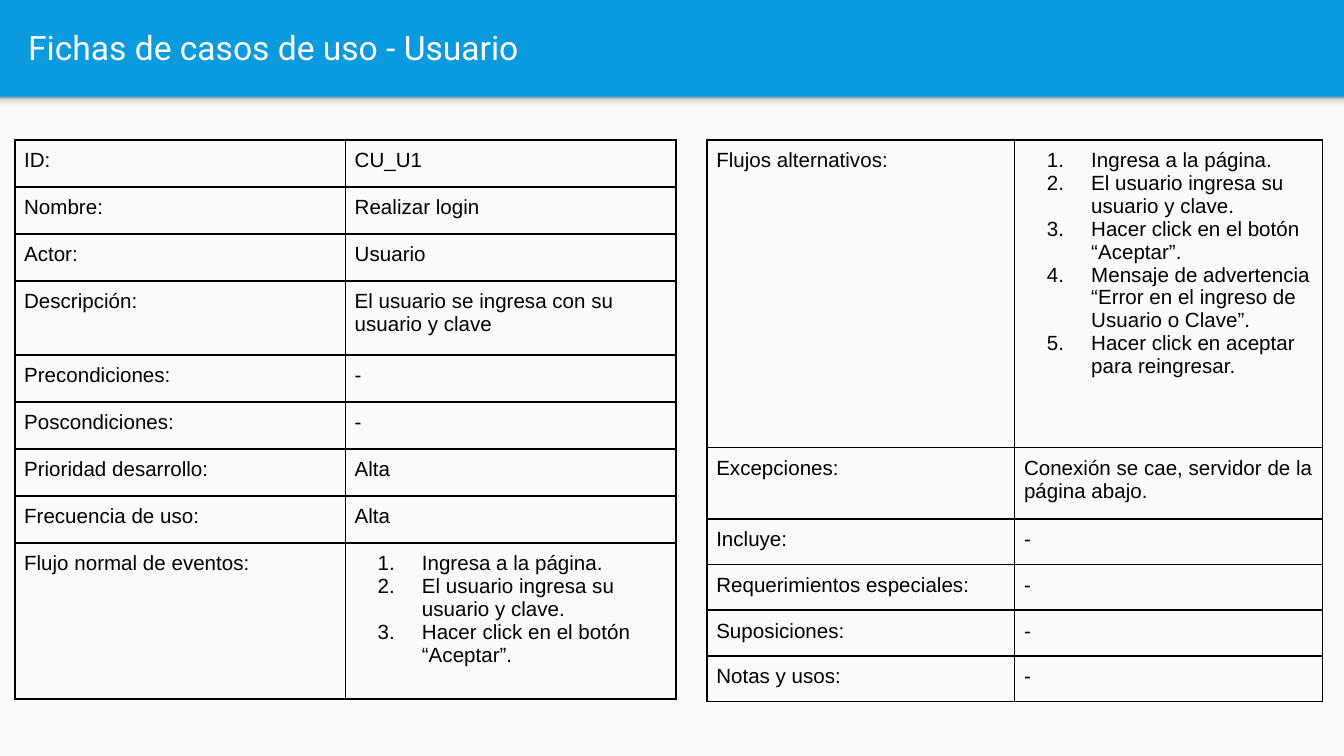
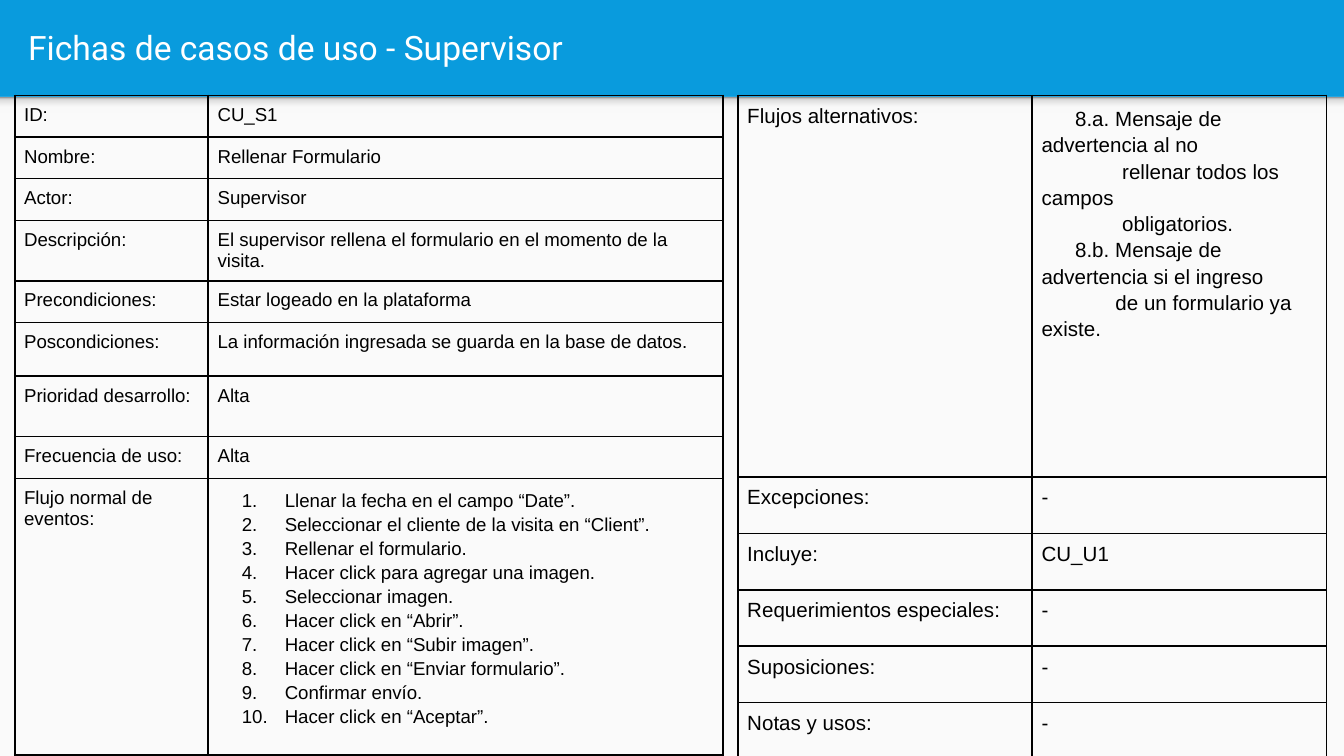
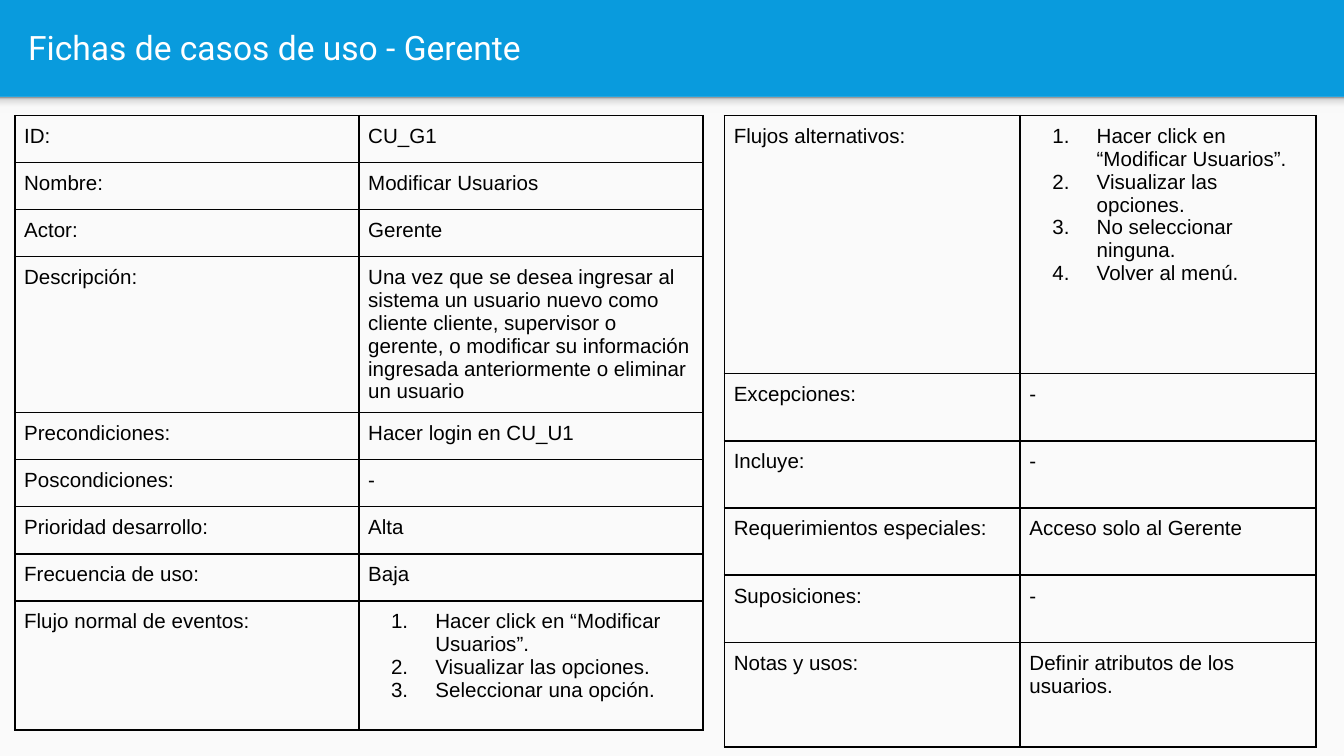
from dataclasses import dataclass

from lxml.etree import SubElement
from pptx import Presentation
from pptx.dml.color import RGBColor
from pptx.enum.shapes import MSO_SHAPE as Preset
from pptx.enum.text import MSO_ANCHOR as Anchor, MSO_AUTO_SIZE as AutoSize, PP_ALIGN as Align
from pptx.oxml.ns import qn
from pptx.util import Inches, Pt


@dataclass(frozen=True)
class Theme:
    """Colours, fonts, type sizes and measures shared by all slides."""

    band: str = "099BDD"
    panel: str = "FAFAFA"
    title: str = "FFFFFF"
    ink: str = "000000"
    shadow: tuple = ((0, "F9F9F9"), (36, "F9F9F9"), (80, "DEDEDE"), (100, "999999"))
    title_font: str = "Roboto"
    body_font: str = "Arial"
    title_size: float = 18
    body_size: float = 11
    small_size: float = 10
    border: float = 1
    width: float = 10
    height: float = 10 * 9 / 16
    band_height: float = 0.72
    shadow_height: float = 0.12
    margin: float = 0.11
    cell_inset: float = 0.07
    title_inset: float = 0.1


THEME = Theme()


@dataclass(frozen=True)
class Line:
    """A cell paragraph with its indents in inches."""

    text: str
    left: float = 0
    first: float = 0
    spacing: float = None
    numbered: bool = False


@dataclass(frozen=True)
class Card:
    """The values, position and grid of one use case table."""

    labels: tuple
    values: tuple
    left: float
    top: float
    columns: tuple
    rows: tuple
    size: float = THEME.body_size


MAIN_LABELS = (
    "ID:", "Nombre:", "Actor:", "Descripción:", "Precondiciones:", "Poscondiciones:",
    "Prioridad desarrollo:", "Frecuencia de uso:", "Flujo normal de eventos:",
)
EXTRA_LABELS = (
    "Flujos alternativos:", "Excepciones:", "Incluye:", "Requerimientos especiales:",
    "Suposiciones:", "Notas y usos:",
)


def steps(*texts, hanging=0.33, spacing=None):
    """Return the texts as numbered lines."""
    return [Line(text, 0.5, -hanging, spacing, True) for text in texts]


def clauses(*pairs):
    """Return lines from pairs of first-line indent and text."""
    return [Line(text, first=first, spacing=1.15) for first, text in pairs]


LOGIN_STEPS = (
    "Ingresa a la página.",
    "El usuario ingresa su usuario y clave.",
    "Hacer click en el botón “Aceptar”.",
)

SLIDES = (
    ("Usuario", (
        Card(
            MAIN_LABELS,
            ("CU_U1", "Realizar login", "Usuario",
             "El usuario se ingresa con su usuario y clave", "-", "-", "Alta", "Alta",
             steps(*LOGIN_STEPS)),
            THEME.margin, 1.04, (2.46, 2.46),
            (0.35, 0.35, 0.35, 0.55, 0.35, 0.35, 0.35, 0.35, 1.16),
        ),
        Card(
            EXTRA_LABELS,
            (steps(*LOGIN_STEPS,
                   "Mensaje de advertencia “Error en el ingreso de Usuario o Clave”.",
                   "Hacer click en aceptar para reingresar."),
             "Conexión se cae, servidor de la página abajo.", "-", "-", "-", "-"),
            5.26, 1.04, (2.29, 2.29), (2.29, 0.53, 0.34, 0.34, 0.34, 0.34),
        ),
    )),
    ("Supervisor", (
        Card(
            MAIN_LABELS,
            ("CU_S1", "Rellenar Formulario", "Supervisor",
             "El supervisor rellena el formulario en el momento de la visita.",
             "Estar logeado en la plataforma",
             "La información ingresada se guarda en la base de datos.", "Alta", "Alta",
             steps("Llenar la fecha en el campo “Date”.",
                   "Seleccionar el cliente de la visita en “Client”.",
                   "Rellenar el formulario.",
                   "Hacer click para agregar una imagen.",
                   "Seleccionar imagen.",
                   "Hacer click en “Abrir”.",
                   "Hacer click en “Subir imagen”.",
                   "Hacer click en “Enviar formulario”.",
                   "Confirmar envío.",
                   "Hacer click en “Aceptar”.",
                   hanging=0.32, spacing=1.15)),
            THEME.margin, 0.71, (1.44, 3.83),
            (0.31, 0.31, 0.31, 0.45, 0.31, 0.4, 0.45, 0.31, 2.06), THEME.small_size,
        ),
        Card(
            EXTRA_LABELS,
            (clauses((0.25, "8.a. Mensaje de advertencia al no"),
                     (0.6, "rellenar todos los campos"),
                     (0.6, "obligatorios."),
                     (0.25, "8.b. Mensaje de advertencia si el ingreso"),
                     (0.55, "de un formulario ya existe.")),
             "-", "CU_U1", "-", "-", "-"),
            5.49, 0.71, (2.19, 2.19), (2.84, 0.42, 0.42, 0.42, 0.42, 0.42),
        ),
    )),
    ("Gerente", (
        Card(
            MAIN_LABELS,
            ("CU_G1", "Modificar Usuarios", "Gerente",
             "Una vez que se desea ingresar al sistema un usuario nuevo como cliente cliente, "
             "supervisor o gerente, o modificar su información ingresada anteriormente o "
             "eliminar un usuario",
             "Hacer login en CU_U1", "-", "Alta", "Baja",
             steps("Hacer click en “Modificar Usuarios”.", "Visualizar las opciones.",
                   "Seleccionar una opción.")),
            THEME.margin, 0.86, (2.56, 2.56),
            (0.35, 0.35, 0.35, 1.16, 0.35, 0.35, 0.35, 0.35, 0.96),
        ),
        Card(
            EXTRA_LABELS,
            (steps("Hacer click en “Modificar Usuarios”.", "Visualizar las opciones.",
                   "No seleccionar ninguna.", "Volver al menú."),
             "-", "-", "Acceso solo al Gerente", "-", "Definir atributos de los usuarios."),
            5.39, 0.86, (2.2, 2.2), (1.92, 0.5, 0.5, 0.5, 0.5, 0.78),
        ),
    )),
)


def write_text(paragraph, text, *, size, font=THEME.body_font, color=THEME.ink,
               spacing=None, left=0, first=0, numbered=False):
    """Write one formatted run with its paragraph spacing, indents and numbering."""
    paragraph.alignment = Align.LEFT
    if spacing:
        paragraph.line_spacing = spacing
    properties = paragraph._p.get_or_add_pPr()
    properties.set("marL", str(Inches(left)))
    properties.set("indent", str(Inches(first)))
    if numbered:
        SubElement(properties, qn("a:buAutoNum"), type="arabicPeriod")
    run = paragraph.add_run()
    run.text = text
    run.font.size = Pt(size)
    run.font.name = font
    run.font.color.rgb = RGBColor.from_string(color)


def set_insets(target, inset):
    """Give a text frame or cell the same inset on all sides."""
    target.margin_left = target.margin_right = Inches(inset)
    target.margin_top = target.margin_bottom = Inches(inset)


def add_strip(slide, top, height):
    """Add a full-width rectangle without line or shadow."""
    shape = slide.shapes.add_shape(
        Preset.RECTANGLE, 0, Inches(top), Inches(THEME.width), Inches(height))
    shape.shadow.inherit = False
    shape.line.fill.background()
    return shape


def add_backdrop(slide):
    """Add the light panel and the gradient below the title band."""
    panel = add_strip(slide, THEME.band_height, THEME.height - THEME.band_height)
    panel.fill.solid()
    panel.fill.fore_color.rgb = RGBColor.from_string(THEME.panel)
    shadow = add_strip(slide, THEME.band_height, THEME.shadow_height)
    shadow.fill.gradient()
    shadow.fill.gradient_angle = 90
    stops = shadow._element.spPr.find(qn("a:gradFill")).find(qn("a:gsLst"))
    for stop in list(stops):
        stops.remove(stop)
    for position, color in THEME.shadow:
        stop = SubElement(stops, qn("a:gs"), pos=str(position * 1000))
        SubElement(stop, qn("a:srgbClr"), val=color)


def add_title(slide, text):
    """Place and fill the title placeholder."""
    title = slide.shapes.title
    title.left, title.top = Inches(THEME.margin), Inches(0.02)
    title.width, title.height = Inches(9.65), Inches(0.66)
    frame = title.text_frame
    frame.word_wrap = True
    frame.auto_size = AutoSize.NONE
    frame.vertical_anchor = Anchor.MIDDLE
    set_insets(frame, THEME.title_inset)
    write_text(frame.paragraphs[0], text, size=THEME.title_size,
               font=THEME.title_font, color=THEME.title)


def add_borders(cell):
    """Draw the four borders of a cell."""
    properties = cell._tc.get_or_add_tcPr()
    for index, side in enumerate(("lnL", "lnR", "lnT", "lnB")):
        border = SubElement(properties, qn(f"a:{side}"), w=str(Pt(THEME.border)))
        fill = SubElement(border, qn("a:solidFill"))
        SubElement(fill, qn("a:srgbClr"), val=THEME.ink)
        properties.insert(index, border)


def fill_cell(cell, content, size):
    """Format a cell and write its text or lines."""
    cell.fill.background()
    set_insets(cell, THEME.cell_inset)
    add_borders(cell)
    lines = [Line(content)] if isinstance(content, str) else content
    frame = cell.text_frame
    for index, line in enumerate(lines):
        paragraph = frame.add_paragraph() if index else frame.paragraphs[0]
        write_text(paragraph, line.text, size=size, spacing=line.spacing,
                   left=line.left, first=line.first, numbered=line.numbered)


def add_card(slide, card):
    """Add a table of labels and values."""
    table = slide.shapes.add_table(
        len(card.rows), len(card.columns), Inches(card.left), Inches(card.top),
        Inches(sum(card.columns)), Inches(sum(card.rows))).table
    table.first_row = table.horz_banding = False
    for column, width in zip(table.columns, card.columns):
        column.width = Inches(width)
    for row, height, *contents in zip(table.rows, card.rows, card.labels, card.values):
        row.height = Inches(height)
        for cell, content in zip(row.cells, contents):
            fill_cell(cell, content, card.size)


def main():
    """Build and save the presentation."""
    presentation = Presentation()
    presentation.slide_width = Inches(THEME.width)
    presentation.slide_height = Inches(THEME.height)
    layout = presentation.slide_layouts[5]
    layout.background.fill.solid()
    layout.background.fill.fore_color.rgb = RGBColor.from_string(THEME.band)
    for actor, cards in SLIDES:
        slide = presentation.slides.add_slide(layout)
        add_backdrop(slide)
        add_title(slide, f"Fichas de casos de uso - {actor}")
        for card in cards:
            add_card(slide, card)
    presentation.save("out.pptx")


if __name__ == "__main__":
    main()
